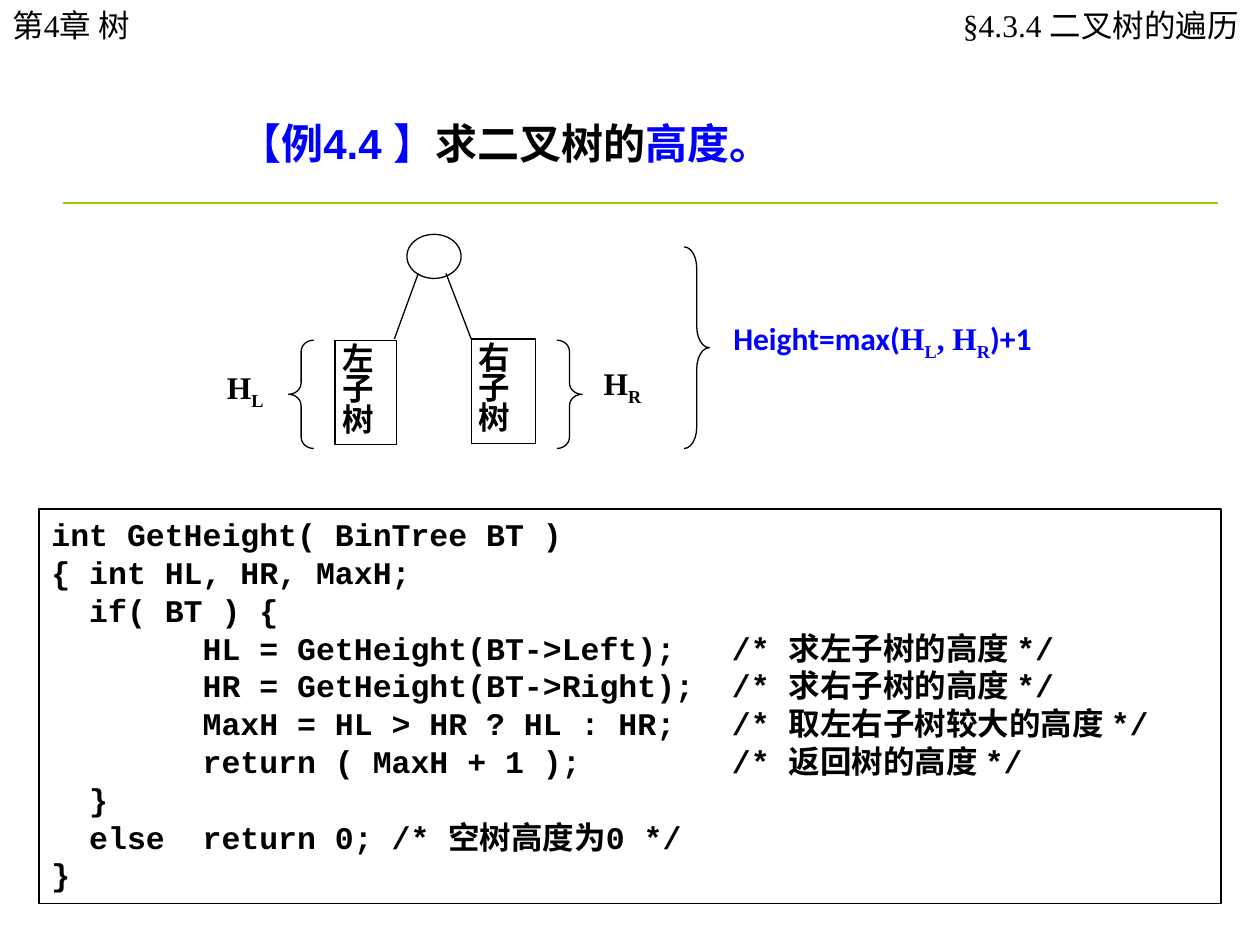
from lxml import etree
from pptx import Presentation
from pptx.dml.color import RGBColor
from pptx.enum.shapes import MSO_CONNECTOR, MSO_SHAPE
from pptx.enum.text import MSO_ANCHOR, MSO_AUTO_SIZE, PP_ALIGN
from pptx.oxml.ns import qn
from pptx.util import Inches, Pt

RECTANGLE, ELLIPSE = MSO_SHAPE.RECTANGLE, MSO_SHAPE.OVAL
LEFT_BRACE, RIGHT_BRACE = MSO_SHAPE.LEFT_BRACE, MSO_SHAPE.RIGHT_BRACE
STRAIGHT = MSO_CONNECTOR.STRAIGHT
LEFT, RIGHT, JUSTIFY = PP_ALIGN.LEFT, PP_ALIGN.RIGHT, PP_ALIGN.JUSTIFY
TITLE_ONLY = 5

COLORS = {"ink": "000000", "accent": "0000FF", "rule": "99CC00", "paper": "FFFFFF"}
SERIF, SANS, CODE, CHINESE = "Times New Roman", "Calibri", "Courier New", "Noto Sans CJK SC"
COLUMNS, ROWS = 100, 75  # grid over the 10 x 7.5 inch slide
LABEL_INSETS = (0, 0.05, 0.02, 0.05)

CODE_LINES = [
    "int GetHeight( BinTree BT )",
    "{ int HL, HR, MaxH;",
    "  if( BT ) {",
    "        HL = GetHeight(BT->Left);   /* 求左子树的高度 */",
    "        HR = GetHeight(BT->Right);  /* 求右子树的高度 */",
    "        MaxH = HL > HR ? HL : HR;   /* 取左右子树较大的高度 */",
    "        return ( MaxH + 1 );        /* 返回树的高度 */",
    "  }",
    "  else  return 0; /* 空树高度为0 */",
    "}",
]


def write(shape, paragraphs, font=SERIF, size=18, color="ink", bold=True, align=JUSTIFY,
          spacing=None, insets=(0.1, 0.05, 0.1, 0.05), wrap=True):
    """Fill a shape; each paragraph is a list of (text, format changes)."""
    frame = shape.text_frame
    frame.auto_size = MSO_AUTO_SIZE.NONE
    frame.word_wrap = wrap
    frame.vertical_anchor = MSO_ANCHOR.TOP
    (frame.margin_left, frame.margin_top,
     frame.margin_right, frame.margin_bottom) = map(Inches, insets)
    for index, pieces in enumerate(paragraphs):
        paragraph = frame.add_paragraph() if index else frame.paragraphs[0]
        paragraph.alignment = align
        if spacing:
            paragraph.line_spacing = spacing
        for text, changes in pieces:
            run = paragraph.add_run()
            run.text = text
            run.font.name = changes.get("font", font)
            run.font.size = Pt(size)
            run.font.bold = bold
            run.font.color.rgb = RGBColor.from_string(COLORS[changes.get("color", color)])
            properties = run.font._element
            if "baseline" in changes:
                properties.set("baseline", str(changes["baseline"]))
            east_asian = etree.Element(qn("a:ea"), typeface=CHINESE)
            properties.find(qn("a:latin")).addnext(east_asian)


class Board:
    """The current slide, its grid and its line style."""

    def __init__(self, presentation):
        self.slide = presentation.slides.add_slide(presentation.slide_layouts[TITLE_ONLY])
        self.column = presentation.slide_width / COLUMNS
        self.row = presentation.slide_height / ROWS

    def place(self, left, top, width, height):
        return [round(value * unit) for value, unit in
                zip((left, top, width, height), (self.column, self.row) * 2)]

    def title(self, box, pieces, **style):
        title = self.slide.shapes.title
        title.left, title.top, title.width, title.height = self.place(*box)
        write(title, [pieces], **style)

    def text(self, box, pieces, **style):
        write(self.slide.shapes.add_textbox(*self.place(*box)), [pieces], **style)

    def shape(self, kind, box, fill=None, paragraphs=(), **style):
        shape = self.slide.shapes.add_shape(kind, *self.place(*box))
        shape.shadow.inherit = False
        if fill:
            shape.fill.solid()
            shape.fill.fore_color.rgb = RGBColor.from_string(COLORS[fill])
        else:
            shape.fill.background()
        shape.line.color.rgb = RGBColor.from_string(COLORS["ink"])
        shape.line.width = Pt(0.75)
        if paragraphs:
            write(shape, paragraphs, **style)
        return shape

    def brace(self, kind, box, curve):
        brace = self.shape(kind, box)
        brace.adjustments[0], brace.adjustments[1] = curve, 0.5

    def line(self, start, end, color="ink", width=0.75):
        line = self.slide.shapes.add_connector(STRAIGHT, *self.place(*start, *end))
        line.line.color.rgb = RGBColor.from_string(COLORS[color])
        line.line.width = Pt(width)
        etree.SubElement(line._element.spPr, qn("a:effectLst"))


def subscripted(letter):
    return [("H", {}), (letter, {"baseline": -25000})]


def main():
    presentation = Presentation()
    presentation.slide_width, presentation.slide_height = Inches(10), Inches(7.5)
    board = Board(presentation)

    # Running heads, title and rule
    board.line((5, 16.1), (96.7, 16.1), color="rule", width=1.5)
    board.text((0, 0, 20.9, 4), [("第4章 树", {})], bold=False, align=LEFT)
    board.text((61.8, 0, 38.1, 4), [("§4.3.4 二叉树的遍历", {})], bold=False,
               align=RIGHT, insets=(0.12, 0.05, 0.16, 0.05))
    board.title((18, 8.8, 44.3, 5),
                [("【例4.4 】", {"color": "accent"}), ("求二叉树的", {}),
                 ("高度。", {"color": "accent"})],
                font="Arial", size=24, align=LEFT, wrap=False)

    # Tree: root, branches and the two subtrees
    board.shape(ELLIPSE, (32.3, 18.6, 4.3, 3.5), fill="paper")
    board.line((33.2, 21.7), (31.3, 26.9))
    board.line((35.4, 21.7), (37.4, 26.9))
    for name, box in (("左子树", (26.6, 27, 4.9, 8.3)), ("右子树", (37.4, 26.9, 5.1, 8.3))):
        board.shape(RECTANGLE, box, fill="paper", paragraphs=[[(name, {})]],
                    font=CHINESE, spacing=0.8, insets=(0.06, 0.05, 0.06, 0.05))

    # Height braces and their labels
    board.brace(LEFT_BRACE, (22.9, 27, 2, 8.6), 0.45)
    board.brace(RIGHT_BRACE, (44.2, 27, 2, 8.6), 0.45)
    board.brace(RIGHT_BRACE, (54.3, 19.6, 2, 16), 0.84)
    for letter, left, top in (("L", 18, 28.7), ("R", 47.9, 28.4)):
        board.text((left, top, 3.5, 7.1), subscripted(letter), insets=LABEL_INSETS)
    board.text((58.2, 24.8, 25.4, 4),
               [("Height=max(", {"font": SANS}), *subscripted("L"), (", ", {}),
                *subscripted("R"), (")+1", {"font": SANS})],
               color="accent", insets=LABEL_INSETS)

    # Code listing
    board.shape(RECTANGLE, (3.1, 40.4, 93.8, 31.3),
                paragraphs=[[(line, {})] for line in CODE_LINES], font=CODE)

    presentation.save("out.pptx")


if __name__ == "__main__":
    main()
